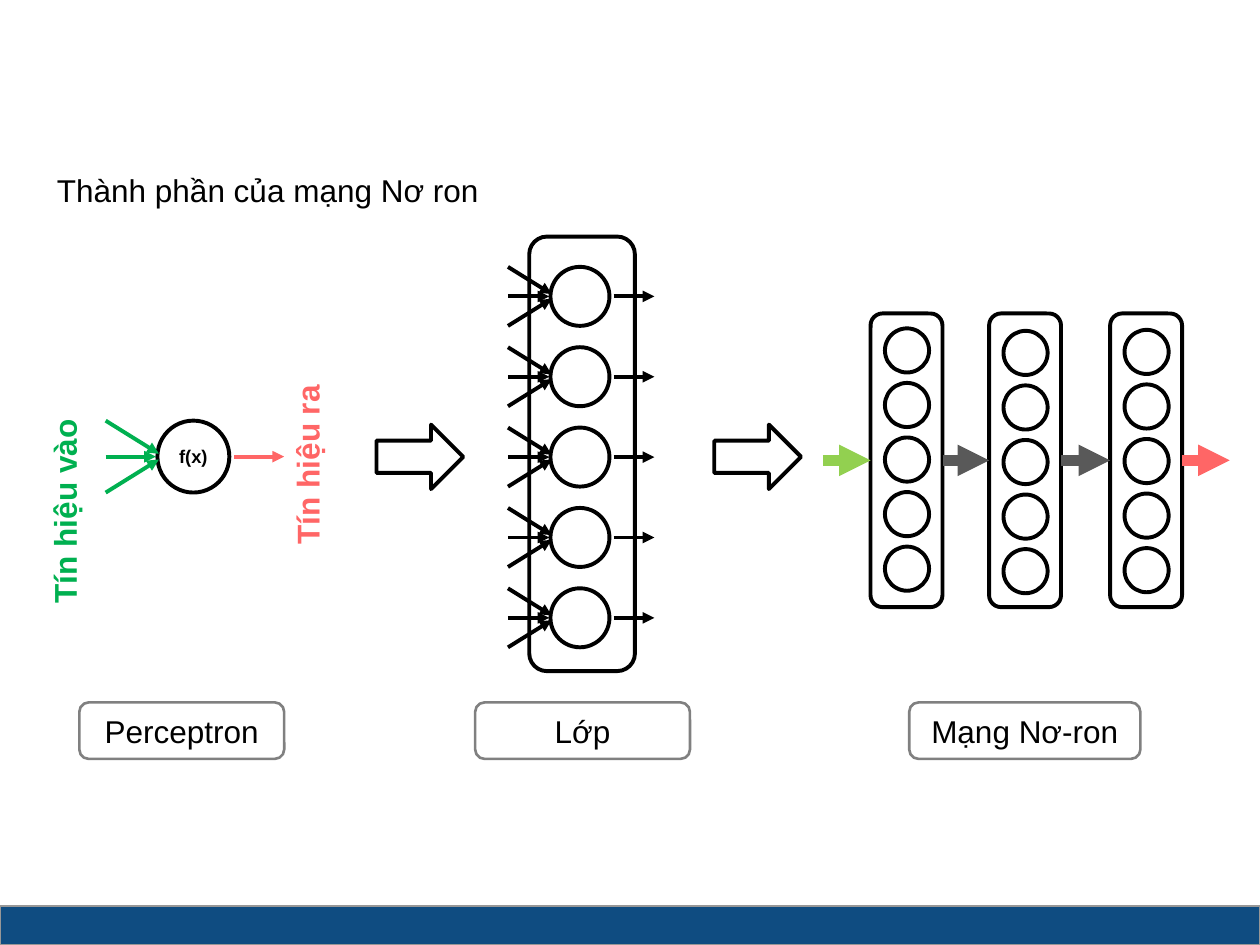
import pptx
import pptx.util
import pptx.dml.color
import pptx.enum.shapes
import pptx.enum.text
import pptx.oxml.ns
from lxml import etree

Cm = pptx.util.Cm
Pt = pptx.util.Pt
KIND = pptx.enum.shapes.MSO_SHAPE
ALIGN = pptx.enum.text.PP_ALIGN
MIDDLE = pptx.enum.text.MSO_ANCHOR.MIDDLE
FONT = "Arial"
COLORS = {
    "ink": "000000",
    "paper": "FFFFFF",
    "bar": "0F4C81",
    "edge": "979797",
    "frame": "808080",
    "input": "00B050",
    "output": "FF6666",
    "feed": "92D050",
    "link": "595959",
}


def color(name):
    return pptx.dml.color.RGBColor.from_string(COLORS[name])


def add_form(shapes, kind, x, y, w, h, fill=None, line="ink", width=2.25):
    form = shapes.add_shape(kind, Cm(x), Cm(y), Cm(w), Cm(h))
    form.shadow.inherit = False
    if fill:
        form.fill.solid()
        form.fill.fore_color.rgb = color(fill)
    else:
        form.fill.background()
    form.line.color.rgb = color(line)
    form.line.width = Pt(width)
    return form


def add_arrow(shapes, x1, y1, x2, y2, tint="ink", width=2.25):
    arrow = shapes.add_connector(
        pptx.enum.shapes.MSO_CONNECTOR.STRAIGHT, Cm(x1), Cm(y1), Cm(x2), Cm(y2))
    arrow.line.color.rgb = color(tint)
    arrow.line.width = Pt(width)
    qn = pptx.oxml.ns.qn
    etree.SubElement(arrow.line._get_or_add_ln(), qn("a:tailEnd"), type="triangle")
    etree.SubElement(arrow._element.spPr, qn("a:effectLst"))
    return arrow


def write(form, text, size=18, tint="ink", bold=False, align=ALIGN.LEFT):
    form.text_frame.word_wrap = True
    para = form.text_frame.paragraphs[0]
    para.alignment = align
    run = para.add_run()
    run.text = text
    run.font.name = FONT
    run.font.size = Pt(size)
    run.font.bold = bold
    run.font.color.rgb = color(tint)


def add_bar(shapes, x, y, w, h):
    add_form(shapes, KIND.RECTANGLE, x, y, w, h, "bar", "edge", 1)


def add_title(shapes, x, y, w, h):
    box = shapes.add_textbox(Cm(x), Cm(y), Cm(w), Cm(h))
    frame = box.text_frame
    frame.vertical_anchor = MIDDLE
    frame.margin_left = frame.margin_right = Cm(0.03)
    frame.margin_top = frame.margin_bottom = Cm(0.03)
    write(box, "Thành phần của mạng Nơ ron")


def add_label(shapes, text, x, y, w, h):
    label = add_form(shapes, KIND.ROUNDED_RECTANGLE, x, y, w, h, "paper", "frame", 1.5)
    label.text_frame.vertical_anchor = MIDDLE
    write(label, text, align=ALIGN.CENTER)


def add_signal(shapes, text, tint, x, y, w, h):
    box = shapes.add_textbox(Cm(x), Cm(y), Cm(w), Cm(h))
    box.rotation = 270
    write(box, text, tint=tint, bold=True)


def add_neuron(shapes, x, y, size, enter="ink", leave="ink"):
    group = shapes.add_group_shape().shapes
    cell = add_form(group, KIND.OVAL, x + 0.72 * size, y, size, size)
    for start, tip, reach in ((0, 0.46, 0.74), (0.5, 0.5, 0.7), (1, 0.54, 0.74)):
        add_arrow(group, x, y + start * size, x + reach * size, y + tip * size, enter)
    mid = y + size / 2
    add_arrow(group, x + 1.79 * size, mid, x + 2.48 * size, mid, leave)
    return cell


def add_unit(shapes, x, y, size):
    cell = add_neuron(shapes, x, y, size, "input", "output")
    frame = cell.text_frame
    frame.vertical_anchor = MIDDLE
    frame.margin_left = frame.margin_right = Cm(0.18)
    frame.margin_top = frame.margin_bottom = Cm(0.1)
    write(cell, "f(x)", 10.5, bold=True, align=ALIGN.CENTER)
    add_signal(shapes, "Tín hiệu vào", "input", x - 3.33, y + 0.92, 5, 1.02)
    add_signal(shapes, "Tín hiệu ra", "output", x + 1.73, y - 0.1, 4.67, 1.02)


def add_layer(shapes, x, y, w, h):
    for row in range(5):
        add_neuron(shapes, x - 0.43, y + 0.61 + 1.62 * row, 1.19)
    add_form(shapes, KIND.ROUNDED_RECTANGLE, x, y, w, h)


def add_stack(shapes, x, y, w, h, drop):
    stack = add_form(shapes, KIND.ROUNDED_RECTANGLE, x, y, w, h)
    size = 0.89
    for row in range(5):
        add_form(shapes, KIND.OVAL, x + (w - size) / 2 + 0.01, y + drop + 1.1 * row, size, size)
    return stack


def add_network(shapes, x, y, h):
    w, reach = 1.45, 0.96
    mid = y + h / 2
    places = ((0.96, 0.3), (3.35, 0.35), (5.79, 0.33))
    stacks = [add_stack(shapes, x + left, y, w, h, drop) for left, drop in places]
    for first, second in zip(stacks, stacks[1:]):
        link = add_arrow(shapes, x, mid, x + reach, mid, "link", 6)
        link.begin_connect(first, 3)
        link.end_connect(second, 1)
    feed = add_arrow(shapes, x, mid, x + reach, mid, "feed", 6)
    feed.end_connect(stacks[0], 1)
    edge = x + places[-1][0] + w
    exit_arrow = add_arrow(shapes, edge, mid, edge + reach, mid, "output", 6)
    exit_arrow.begin_connect(stacks[-1], 3)


def main():
    deck = pptx.Presentation()
    deck.slide_width = Cm(25.4)
    deck.slide_height = Cm(19.05)
    shapes = deck.slides.add_slide(deck.slide_layouts[6]).shapes

    add_bar(shapes, 0, 18.27, 25.4, 0.78)
    add_title(shapes, 1.12, 2.92, 22, 1.83)
    for text, x, w in (("Perceptron", 1.6, 4.13), ("Lớp", 9.58, 4.33),
                       ("Mạng Nơ-ron", 18.33, 4.66)):
        add_label(shapes, text, x, 14.16, w, 1.14)
    add_unit(shapes, 2.13, 8.48, 1.45)
    add_layer(shapes, 10.67, 4.77, 2.13, 8.76)
    add_network(shapes, 16.59, 6.32, 5.92)
    for x in (7.59, 14.4):
        add_form(shapes, KIND.RIGHT_ARROW, x, 8.56, 1.75, 1.3)
    deck.save("out.pptx")


if __name__ == "__main__":
    main()
